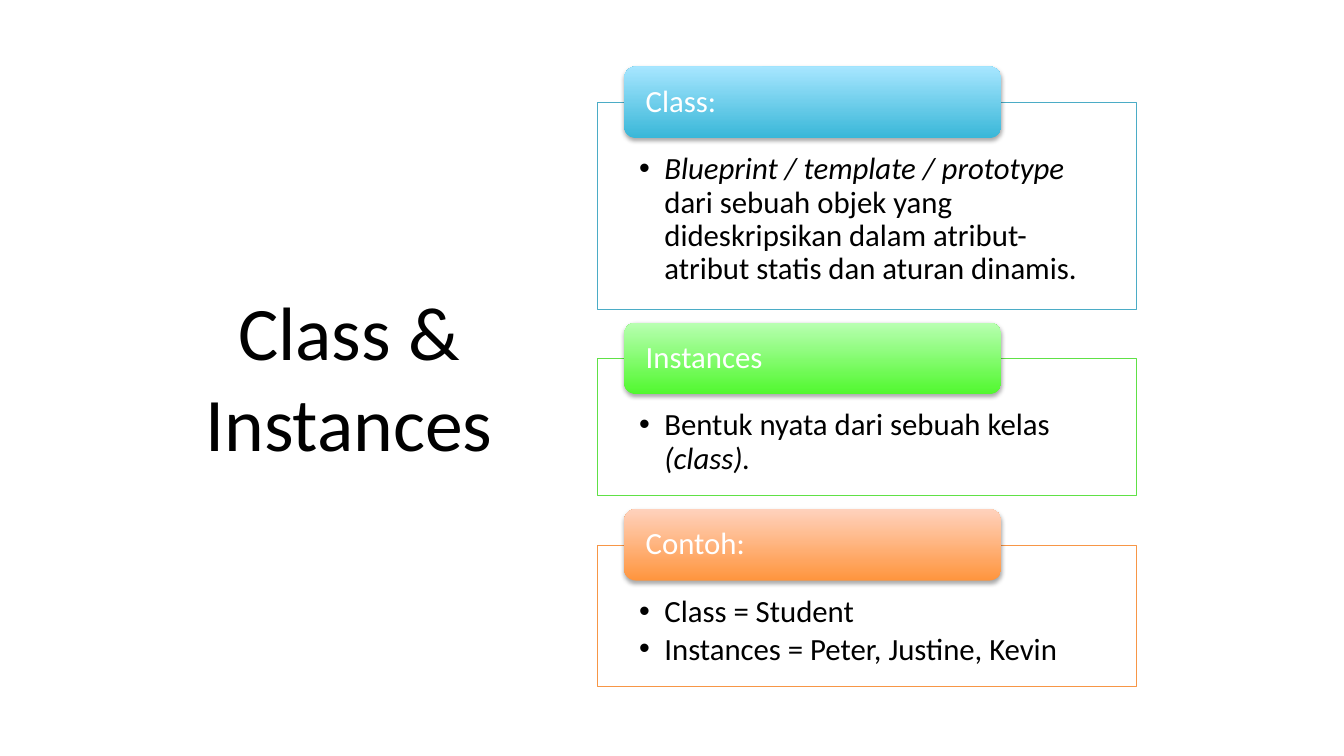
from dataclasses import dataclass

from lxml.etree import SubElement as Sub
from pptx import Presentation
from pptx.dml.color import RGBColor as Rgb
from pptx.enum.shapes import MSO_SHAPE as Shape
from pptx.enum.text import MSO_ANCHOR as Anchor, MSO_AUTO_SIZE as Fit, PP_ALIGN as Align
from pptx.oxml.ns import qn
from pptx.util import Inches, Pt


@dataclass(frozen=True)
class Theme:
    font: str = "Calibri"
    ink: str = "000000"
    paper: str = "FFFFFF"
    title: int = 54
    text: int = 22
    blue: tuple = ("4BACC6", "39B7D8", "A7E6FF")
    green: tuple = ("60E146", "51F82F", "B9FFB2")
    orange: tuple = ("F79646", "FF953E", "FFD2BD")


def write(frame, lines, font, size, color, align=Align.LEFT, anchor=Anchor.TOP,
          inset=(0.1, 0.05, 0.1, 0.05), gap=0, lead=1.0, bullet=False):
    frame.word_wrap = True
    frame.auto_size = Fit.NONE
    frame.vertical_anchor = anchor
    (frame.margin_left, frame.margin_top,
     frame.margin_right, frame.margin_bottom) = map(Inches, inset)
    for num, runs in enumerate(lines):
        para = frame.add_paragraph() if num else frame.paragraphs[0]
        para.alignment = align
        para.line_spacing = lead
        para.space_before, para.space_after = Pt(0), Pt(gap)
        if bullet:
            props = para._p.get_or_add_pPr()
            props.set("marL", str(Inches(0.25)))
            props.set("indent", str(-Inches(0.25)))
            Sub(props, qn("a:buFont"), typeface="Arial")
            Sub(props, qn("a:buChar"), char="•")
        for words, slant in runs:
            run = para.add_run()
            run.text = words
            run.font.name = font
            run.font.size = Pt(size)
            run.font.italic = slant
            run.font.color.rgb = Rgb.from_string(color)


class Deck:
    def __init__(self, theme):
        self.theme = theme
        self.file = Presentation()
        self.file.slide_width = Inches(13.33)
        self.file.slide_height = Inches(7.5)
        self.slide = self.file.slides.add_slide(self.file.slide_layouts[5])

    def title(self, words, box):
        head = self.slide.shapes.title
        head.left, head.top, head.width, head.height = map(Inches, box)
        write(head.text_frame, [[(words, False)]], self.theme.font, self.theme.title,
              self.theme.ink, align=Align.CENTER, anchor=Anchor.MIDDLE)

    def shape(self, kind, box):
        item = self.slide.shapes.add_shape(kind, *map(Inches, box))
        item.shadow.inherit = False
        return item

    def panel(self, lines, box, edge):
        item = self.shape(Shape.RECTANGLE, box)
        item.fill.solid()
        item.fill.fore_color.rgb = Rgb.from_string(self.theme.paper)
        item.line.color.rgb = Rgb.from_string(edge)
        item.line.width = Pt(0.75)
        write(item.text_frame, lines, self.theme.font, self.theme.text, self.theme.ink,
              inset=(0.41, 0.5, 0.41, 0.17), gap=3.3, lead=0.9, bullet=True)

    def label(self, words, box, low, high):
        item = self.shape(Shape.ROUNDED_RECTANGLE, box)
        item.line.fill.background()
        item.fill.gradient()
        item.fill.gradient_angle = 90
        for stop, color in zip(item.fill.gradient_stops, (low, high)):
            stop.color.rgb = Rgb.from_string(color)
        self.shade(item)
        write(item.text_frame, [[(words, False)]], self.theme.font, self.theme.text,
              self.theme.paper, anchor=Anchor.MIDDLE,
              inset=(0.18, 0.04, 0.18, 0.04), lead=0.9)

    def shade(self, item):
        glow = item._element.spPr.find(qn("a:effectLst"))
        cast = Sub(glow, qn("a:outerShdw"), blurRad=str(Pt(3.1)), dist=str(Pt(1.8)),
                   dir="5400000", rotWithShape="0")
        tint = Sub(cast, qn("a:srgbClr"), val=self.theme.ink)
        Sub(tint, qn("a:alpha"), val="35000")

    def card(self, name, lines, top, tall, tones):
        edge, low, high = tones
        self.panel(lines, (5.93, top + 0.36, 5.34, tall), edge)
        self.label(name, (6.19, top, 3.74, 0.71), low, high)
        return top + 0.36 + tall + 0.13


def main():
    theme = Theme()
    deck = Deck(theme)
    deck.title("Class & Instances", (1.75, 1.11, 3.42, 5.24))
    cards = [
        ("Class:", 2.05, theme.blue, [[
            ("Blueprint / template / prototype ", True),
            ("dari sebuah objek yang dideskripsikan dalam "
             "atribut-atribut statis dan aturan dinamis.", False)]]),
        ("Instances", 1.36, theme.green, [[
            ("Bentuk nyata dari sebuah kelas ", False), ("(class).", True)]]),
        ("Contoh:", 1.4, theme.orange, [
            [("Class = Student", False)],
            [("Instances = Peter, Justine, Kevin", False)]]),
    ]
    top = 0.66
    for name, tall, tones, lines in cards:
        top = deck.card(name, lines, top, tall, tones)
    deck.file.save("out.pptx")


if __name__ == "__main__":
    main()
